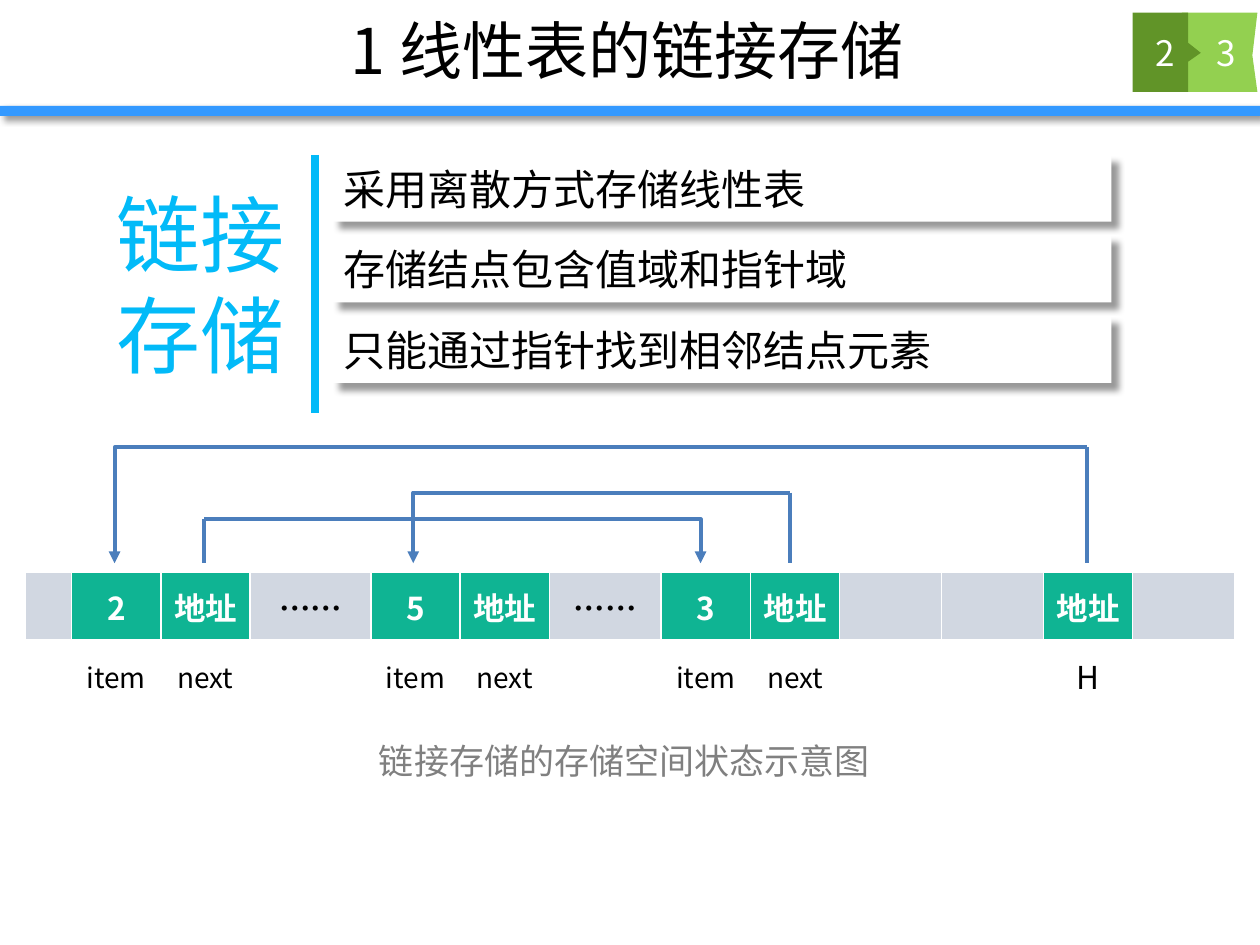
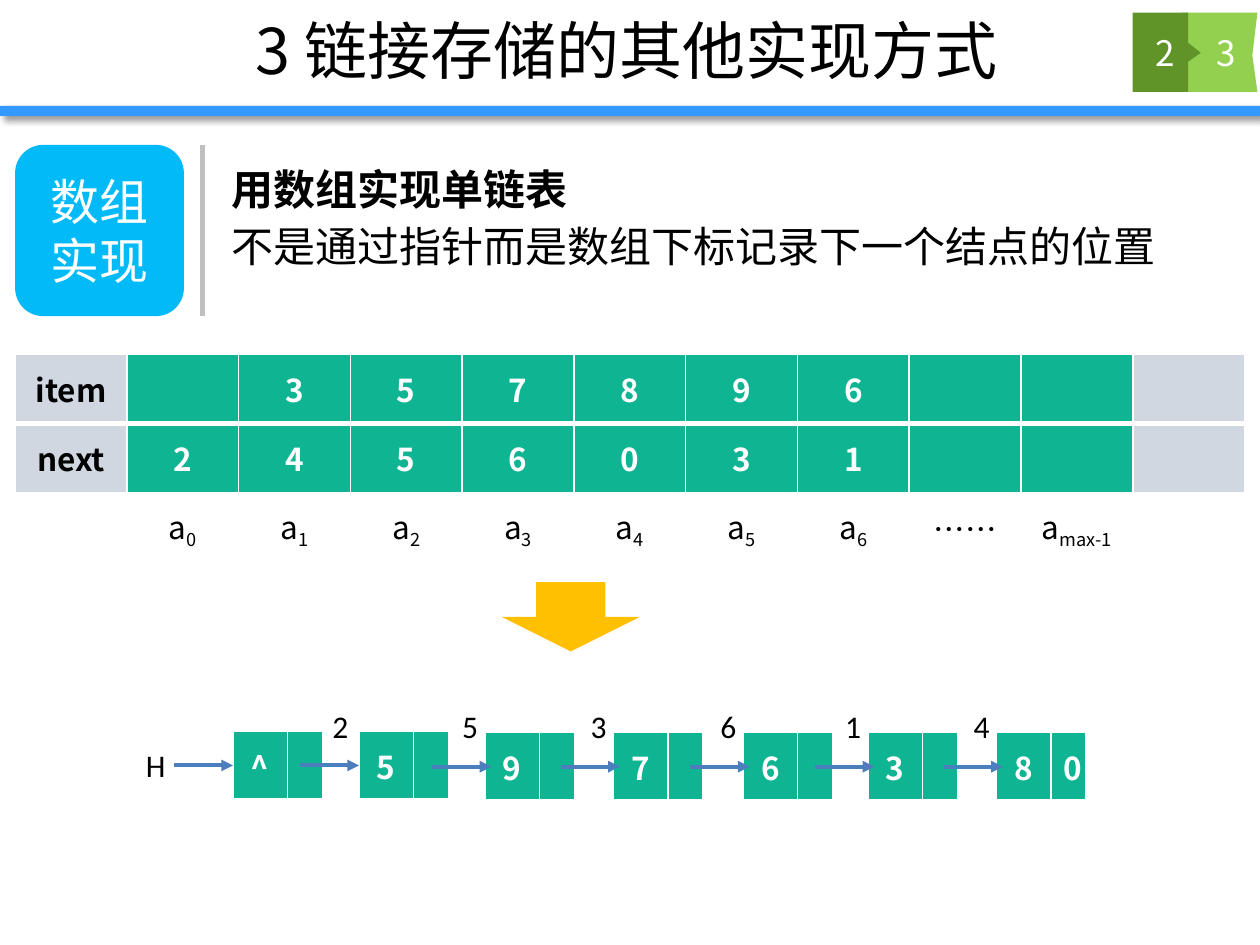
from dataclasses import dataclass
from typing import Optional

from lxml.etree import SubElement
from pptx import Presentation
from pptx.dml.color import RGBColor
from pptx.enum.shapes import MSO_CONNECTOR as CONN, MSO_SHAPE as SHAPE
from pptx.enum.text import MSO_ANCHOR as ANCHOR, MSO_AUTO_SIZE as AUTO, PP_ALIGN as ALIGN
from pptx.oxml.ns import qn
from pptx.util import Inches, Pt


@dataclass(frozen=True)
class Theme:
    cjk: str = "Noto Sans CJK SC"
    latin: str = "Calibri"
    band: str = "3399FF"
    light_green: str = "93D050"
    dark_green: str = "619428"
    sky: str = "02BAF8"
    cell: str = "0FB493"
    pale: str = "D1D7E1"
    arrow: str = "4B7EBC"
    amber: str = "FFC001"
    rule: str = "BFBFBF"
    caption: str = "808080"
    black: str = "000000"
    white: str = "FFFFFF"
    title_pt: int = 36
    label_pt: int = 48
    tile_pt: int = 28
    body_pt: int = 24
    badge_pt: int = 20
    cell_pt: int = 18
    field_pt: int = 16


T = Theme()


@dataclass(frozen=True)
class Box:
    left: float
    top: float
    width: float
    height: float

    def emu(self) -> tuple:
        return tuple(Inches(v) for v in (self.left, self.top, self.width, self.height))


@dataclass(frozen=True)
class Cell:
    text: str = ""
    fill: Optional[str] = None
    color: str = T.black
    bold: bool = False
    size: int = T.cell_pt
    sub: str = ""


@dataclass(frozen=True)
class Link:
    start: float
    end: float
    top: float


@dataclass(frozen=True)
class Node:
    value: str
    index: str
    left: float
    top: float
    index_left: float
    tip: float
    next: str = ""


def data(text: str = "") -> Cell:
    return Cell(text, T.cell, T.white, True)


def side(text: str = "") -> Cell:
    return Cell(text, T.pale, T.black, True)


def add_run(p, text: str, size: int, color: str, bold: bool = False, font: str = T.cjk):
    r = p.add_run()
    r.text = text
    r.font.size, r.font.bold, r.font.name = Pt(size), bold, font
    r.font.color.rgb = RGBColor.from_string(color)
    SubElement(r.font._element, qn("a:ea"), typeface=font)
    return r


def fill_shape(shape, color: str) -> None:
    shape.shadow.inherit = False
    shape.fill.solid()
    shape.fill.fore_color.rgb = RGBColor.from_string(color)
    shape.line.fill.background()


def add_block(s, kind, box: Box, color: str):
    sp = s.shapes.add_shape(kind, *box.emu())
    fill_shape(sp, color)
    return sp


def cast_shadow(sp, dist: int) -> None:
    effects = sp._element.spPr.find(qn("a:effectLst"))
    shadow = SubElement(effects, qn("a:outerShdw"), blurRad=str(Pt(4)), dist=str(Pt(dist)),
                        dir=str(45 * 60000), algn="tl", rotWithShape="0")
    color = SubElement(shadow, qn("a:srgbClr"), val=T.black)
    SubElement(color, qn("a:alpha"), val="40000")


def write(sp, text: str, size: int, color: str, align=ALIGN.LEFT, anchor=ANCHOR.MIDDLE,
          bold: bool = False, font: str = T.cjk, wrap: bool = True):
    tf = sp.text_frame
    tf.word_wrap, tf.vertical_anchor, tf.auto_size = wrap, anchor, AUTO.NONE
    p = tf.paragraphs[0]
    p.alignment = align
    add_run(p, text, size, color, bold, font)
    return p


def add_text(s, box: Box, text: str, size: int, color: str, **style):
    style.setdefault("anchor", ANCHOR.TOP)
    return write(s.shapes.add_textbox(*box.emu()), text, size, color, **style)


def add_line(s, x1: float, y1: float, x2: float, y2: float, color: str = T.arrow,
             width: float = 2.25, arrow: bool = False, kind=CONN.STRAIGHT):
    c = s.shapes.add_connector(kind, *(Inches(v) for v in (x1, y1, x2, y2)))
    c.line.color.rgb = RGBColor.from_string(color)
    c.line.width = Pt(width)
    if arrow:
        SubElement(c.line._get_or_add_ln(), qn("a:tailEnd"), type="triangle")
    SubElement(c._element.spPr, qn("a:effectLst"))
    return c


def add_link(s, link: Link, bottom: float) -> None:
    c = add_line(s, link.start, link.top, link.end, bottom, arrow=True, kind=CONN.ELBOW)
    guides = c._element.spPr.find(qn("a:prstGeom")).get_or_add_avLst()
    SubElement(guides, qn("a:gd"), name="adj1", fmla="val 100000")
    add_line(s, link.start, link.top, link.start, bottom)


def add_outline(s, points: list, color: str) -> None:
    (x, y), *rest = [(Inches(px), Inches(py)) for px, py in points]
    builder = s.shapes.build_freeform(x, y)
    builder.add_line_segments(rest)
    fill_shape(builder.convert_to_shape(), color)


def set_borders(cell, bottom: int) -> None:
    tc_pr = cell._tc.get_or_add_tcPr()
    for edge, width in (("L", 1), ("R", 1), ("T", 1), ("B", bottom)):
        ln = SubElement(tc_pr, qn(f"a:ln{edge}"), w=str(Pt(width)))
        SubElement(SubElement(ln, qn("a:solidFill")), qn("a:srgbClr"), val=T.white)


def add_grid(s, box: Box, weights: list, rows: list) -> None:
    table = s.shapes.add_table(len(rows), len(weights), *box.emu()).table
    table.first_row = table.horz_banding = False
    for column, weight in zip(table.columns, weights):
        column.width = Inches(box.width * weight / sum(weights))
    for i, row in enumerate(rows):
        for j, item in enumerate(row):
            cell = table.cell(i, j)
            set_borders(cell, 3 if i == 0 else 1)
            cell.vertical_anchor = ANCHOR.MIDDLE
            if item.fill:
                cell.fill.solid()
                cell.fill.fore_color.rgb = RGBColor.from_string(item.fill)
            else:
                cell.fill.background()
            p = cell.text_frame.paragraphs[0]
            p.alignment = ALIGN.CENTER
            if item.text:
                add_run(p, item.text, item.size, item.color, item.bold)
            if item.sub:
                r = add_run(p, item.sub, item.size, item.color, item.bold)
                r.font._element.set("baseline", "-25000")


def add_base(prs, title: str):
    s = prs.slides.add_slide(prs.slide_layouts[5])
    cast_shadow(add_block(s, SHAPE.RECTANGLE, Box(0, 0.84, 10, 0.08), T.band), 3)
    add_outline(s, [(9.38, 0.1), (9.98, 0.1), (9.94, 0.44), (9.98, 0.73), (9.38, 0.73)],
                T.light_green)
    add_outline(s, [(8.99, 0.1), (9.43, 0.1), (9.43, 0.34), (9.53, 0.42), (9.43, 0.49),
                    (9.43, 0.73), (8.99, 0.73)], T.dark_green)
    sp = s.shapes.title
    sp.left, sp.top, sp.width, sp.height = Box(0.98, 0.01, 7.99, 0.77).emu()
    write(sp, title, T.title_pt, T.black, ALIGN.CENTER)
    for number, left in (("3", 9.42), ("2", 8.94)):
        add_text(s, Box(left, 0.1, 0.62, 0.63), number, T.badge_pt, T.white,
                 align=ALIGN.CENTER, anchor=ANCHOR.MIDDLE)
    return s


def build_linked_storage(prs) -> None:
    s = add_base(prs, "1 线性表的链接存储")
    add_text(s, Box(0.83, 1.4, 1.54, 1.72), "链接存储", T.label_pt, T.sky)
    add_line(s, 2.5, 1.23, 2.5, 3.28, T.sky, 4.5)
    features = ["采用离散方式存储线性表", "存储结点包含值域和指针域", "只能通过指针找到相邻结点元素"]
    for i, feature in enumerate(features):
        sp = add_block(s, SHAPE.RECTANGLE, Box(2.63, 1.23 + 0.64 * i, 6.19, 0.53), T.white)
        cast_shadow(sp, 6)
        write(sp, feature, T.body_pt, T.black)

    blank, address, dots = Cell(), data("地址"), side("……")
    memory = [side(), data("2"), address, dots, data("5"), address, dots, data("3"), address,
              side(), side(), address, side()]
    fields = [Cell("item", size=T.field_pt), Cell("next", size=T.field_pt), blank]
    labels = [blank, *fields * 3, blank, Cell("H"), blank]
    widths = [0.37, 0.71, 0.71, 0.96, 0.71, 0.71, 0.89, 0.71, 0.71, 0.81, 0.81, 0.71, 0.81]
    add_grid(s, Box(0.2, 4.54, 9.6, 1.1), widths, [memory, labels])

    for link in (Link(1.62, 5.56, 4.12), Link(6.27, 3.28, 3.91), Link(8.63, 0.91, 3.55)):
        add_link(s, link, 4.47)
    add_text(s, Box(2.91, 5.82, 4.13, 0.44), "链接存储的存储空间状态示意图", T.badge_pt,
             T.caption, wrap=False)


def build_array_storage(prs) -> None:
    s = add_base(prs, "3 链接存储的其他实现方式")
    tile = add_block(s, SHAPE.ROUNDED_RECTANGLE, Box(0.12, 1.15, 1.34, 1.36), T.sky)
    write(tile, "数组实现", T.tile_pt, T.white, ALIGN.CENTER)
    add_line(s, 1.61, 1.15, 1.61, 2.51, T.rule, 3)
    statements = [("用数组实现单链表", 1.17, True),
                  ("不是通过指针而是数组下标记录下一个结点的位置", 1.62, False)]
    for text, top, bold in statements:
        p = add_text(s, Box(1.74, top, 8.82, 0.54), text, T.body_pt, T.black, bold=bold)
        p.line_spacing = 1.2

    items = [side("item"), *map(data, ["", *"357896", "", ""]), side()]
    nexts = [side("next"), *map(data, [*"2456031", "", ""]), side()]
    subscripts = [Cell(), *(Cell("a", sub=str(i)) for i in range(7)), Cell("……"),
                  Cell("a", sub="max-1"), Cell()]
    add_grid(s, Box(0.12, 2.81, 9.76, 1.65), [1] * 11, [items, nexts, subscripts])

    add_text(s, Box(1.06, 5.87, 0.31, 0.4), "H", T.cell_pt, T.black, font=T.latin)
    nodes = [Node("^", "", 1.85, 5.8, 0, 1.85), Node("5", "2", 2.85, 5.8, 2.54, 2.85)]
    chain = [("9", "5", 3.85), ("7", "3", 4.87), ("6", "6", 5.9), ("3", "1", 6.89),
             ("8", "4", 7.91)]
    nodes += [Node(value, index, left, 5.81, left - 0.28, left + 0.05,
                   "0" if value == "8" else "") for value, index, left in chain]
    for node in nodes:
        add_grid(s, Box(node.left, node.top, 0.71, 0.55), [0.43, 0.28],
                 [[data(node.value), data(node.next)]])
    for node in nodes:
        middle = node.top + 0.275
        add_line(s, node.tip - 0.47, middle, node.tip, middle, arrow=True)
        if node.index:
            add_text(s, Box(node.index_left, 5.56, 0.33, 0.4), node.index, T.cell_pt,
                     T.black, font=T.latin, wrap=False)
    add_block(s, SHAPE.DOWN_ARROW, Box(3.98, 4.62, 1.1, 0.55), T.amber)


def main() -> None:
    prs = Presentation()
    prs.slide_width, prs.slide_height = Inches(10), Inches(7.5)
    build_linked_storage(prs)
    build_array_storage(prs)
    prs.save("out.pptx")


if __name__ == "__main__":
    main()
